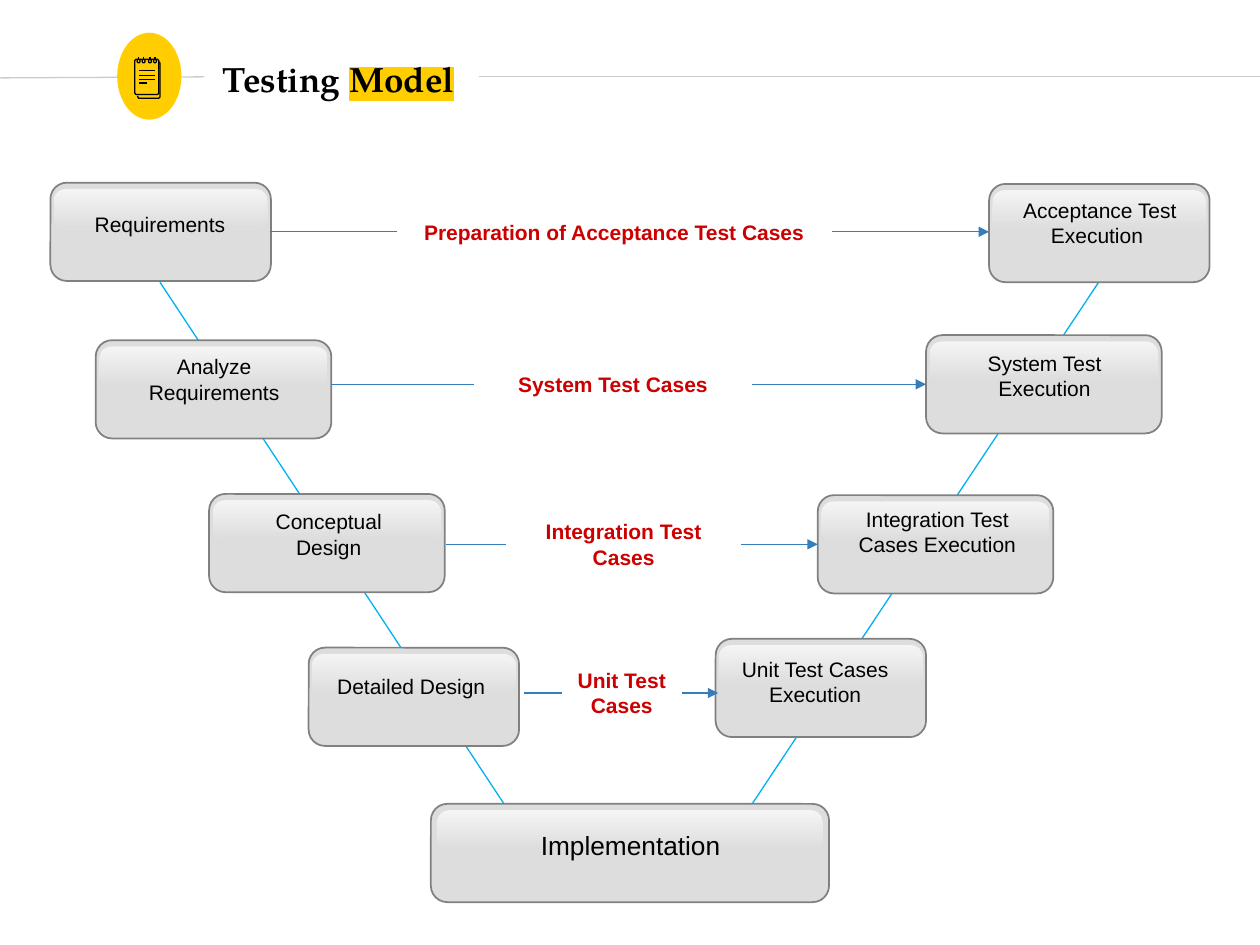
from math import cos, pi, sin

from lxml import etree
from pptx import Presentation
from pptx import util as u
from pptx.dml.color import RGBColor
from pptx.enum import shapes, text
from pptx.oxml import ns

BLACK = RGBColor(0x00, 0x00, 0x00)
WHITE = RGBColor(0xFF, 0xFF, 0xFF)
GOLD = RGBColor(0xFF, 0xCD, 0x00)
RED = RGBColor(0xCC, 0x00, 0x00)
SILVER = RGBColor(0xDD, 0xDD, 0xDD)
RULE = RGBColor(0xCC, 0xCC, 0xCC)
EDGE = RGBColor(0x80, 0x80, 0x80)
CYAN = RGBColor(0x00, 0xB0, 0xF0)
BLUE = RGBColor(0x36, 0x7E, 0xB9)

HIGH = 0.78  # height of every box


def apply(obj, style):
    for key, value in style.items():
        setattr(obj, key, value)


def child(parent, tag, **attrs):
    return etree.SubElement(parent, ns.qn(tag), **attrs)


class Board:
    label = {"name": "Arial", "size": u.Pt(12), "color": BLACK, "bold": False}
    title = {"name": "TeX Gyre Pagella", "size": u.Pt(20), "color": BLACK, "bold": True}

    def __init__(self, slide):
        self.slide = slide
        self.shapes = slide.shapes

    def group(self):
        return self.shapes.add_group_shape().shapes

    def shape(self, kind, x, y, w, h, fill=None, line=None, home=None, adjust=None):
        item = (home or self.shapes).add_shape(kind, *map(u.Inches, (x, y, w, h)))
        item.shadow.inherit = False
        if adjust is not None:
            item.adjustments[0] = adjust
        if fill is not None:
            item.fill.solid()
            item.fill.fore_color.rgb = fill
        self.stroke(item, line, 1)
        return item

    def stroke(self, item, color, width=0.75):
        if color is None:
            item.line.fill.background()
        else:
            item.line.color.rgb = color
            item.line.width = u.Pt(width)

    def box(self, x, y, w):
        """Rounded box with a glossy strip along its top."""
        home, kind = self.group(), shapes.MSO_SHAPE.ROUNDED_RECTANGLE
        self.shape(kind, x, y, w, HIGH, SILVER, EDGE, home, 0.167)
        inset = 0.017 * w
        gloss = self.shape(kind, x + inset, y + 0.05, w - 2 * inset, 0.32,
                           home=home, adjust=0.284)
        gloss.fill.gradient()
        gloss.fill.gradient_angle = 270
        for stop, color, place in zip(gloss.fill.gradient_stops, (WHITE, SILVER), (0, 1)):
            stop.color.rgb = color
            stop.position = place
        for color in gloss._element.xpath(".//a:gs/a:srgbClr"):
            child(color, "a:alpha", val="70000")

    def line(self, x1, y1, x2, y2, color, arrow=False):
        item = self.shapes.add_connector(
            shapes.MSO_CONNECTOR.STRAIGHT, *map(u.Inches, (x1, y1, x2, y2)))
        self.stroke(item, color)
        if arrow:
            child(item.line._get_or_add_ln(), "a:tailEnd", type="triangle")
        child(item._element.spPr, "a:effectLst")

    def trace(self, home, points, close=False):
        spots = [(u.Inches(x), u.Inches(y)) for x, y in points]
        path = home.build_freeform(*spots[0])
        path.add_line_segments(spots[1:], close=close)
        item = path.convert_to_shape()
        item.shadow.inherit = False
        item.fill.background()
        self.stroke(item, BLACK)

    def frame(self, x, y, w, h, **style):
        frame = self.shapes.add_textbox(*map(u.Inches, (x, y, w, h))).text_frame
        apply(frame, {"word_wrap": True, **style})
        return frame

    def run(self, para, words, style):
        run = para.add_run()
        run.text = words
        style = dict(style)
        run.font.color.rgb = style.pop("color")
        apply(run.font, style)
        return run

    def text(self, x, y, w, h, words, **style):
        frame = self.frame(x, y, w, h, auto_size=text.MSO_AUTO_SIZE.SHAPE_TO_FIT_TEXT)
        para = frame.paragraphs[0]
        para.alignment = text.PP_ALIGN.CENTER
        self.run(para, words, {**self.label, **style})

    def head(self, x, y, w, h, plain, marked):
        pad = u.Inches(0.1)
        frame = self.frame(x, y, w, h, margin_top=pad, margin_bottom=pad,
                           vertical_anchor=text.MSO_ANCHOR.MIDDLE)
        para = frame.paragraphs[0]
        self.run(para, plain, self.title)
        run = self.run(para, marked, self.title)
        mark = etree.Element(ns.qn("a:highlight"))
        child(mark, "a:srgbClr", val=str(GOLD))
        run._r.rPr.find(ns.qn("a:latin")).addprevious(mark)

    def notepad(self):
        home = self.group()
        # Back sheet, then front sheet with cut corners
        self.trace(home, [(1.09, 0.76), (1.1, 0.78), (1.26, 0.78), (1.27, 0.77),
                          (1.27, 0.5), (1.26, 0.49)])
        left, top, right, low, cut = 1.07, 0.47, 1.26, 0.75, 0.01
        self.trace(home, [(left + cut, top), (right - cut, top), (right, top + cut),
                          (right, low - cut), (right - cut, low), (left + cut, low),
                          (left, low - cut), (left, top + cut)], True)
        # Written lines
        for y, end in ((0.56, 1.23), (0.6, 1.23), (0.63, 1.23), (0.66, 1.17)):
            self.trace(home, [(end, y), (1.1, y)])
        # Rings and pins
        for x in (1.1, 1.14, 1.19, 1.23):
            turns = [i * pi / 6 for i in range(12)]
            self.trace(home, [(x + 0.012 * cos(a), 0.485 + 0.014 * sin(a))
                              for a in turns], True)
            self.trace(home, [(x, 0.45), (x, 0.48)])


def main():
    deck = Presentation()
    deck.slide_width, deck.slide_height = u.Inches(10), u.Inches(7.5)
    board = Board(deck.slides.add_slide(deck.slide_layouts[6]))

    # Title band
    board.line(3.8, 0.61, 10.31, 0.61, RULE)
    board.line(-0.27, 0.62, 1.62, 0.61, RULE)
    board.shape(shapes.MSO_SHAPE.OVAL, 0.93, 0.26, 0.51, 0.69, GOLD)
    board.head(1.67, 0.3, 2.75, 0.64, "Testing ", "Model")
    board.notepad()

    # Sides of the V
    board.line(8.72, 2.24, 5.97, 6.38, CYAN)
    board.line(1.27, 2.24, 4, 6.38, CYAN)

    # Stages: box left, top, width; label left, top, width, height
    stages = [
        ("Requirements", (0.4, 1.45, 1.75), (0.47, 1.63, 1.6, 0.3)),
        ("Analyze Requirements", (0.76, 2.7, 1.87), (0.9, 2.76, 1.6, 0.5)),
        ("Conceptual Design", (1.66, 3.92, 1.87), (1.81, 3.99, 1.6, 0.5)),
        ("Detailed Design", (2.45, 5.14, 1.67), (2.46, 5.3, 1.61, 0.3)),
        ("Acceptance Test Execution ", (7.85, 1.46, 1.75), (7.93, 1.52, 1.6, 0.5)),
        ("System Test Execution", (7.35, 2.66, 1.87), (7.49, 2.73, 1.6, 0.5)),
        ("Integration Test Cases Execution", (6.49, 3.93, 1.87), (6.64, 3.97, 1.6, 0.5)),
        ("Unit Test Cases Execution", (5.68, 5.07, 1.67), (5.65, 5.16, 1.64, 0.5)),
    ]
    for words, box, label in stages:
        board.box(*box)
        board.text(*label, words)
    board.box(3.42, 6.38, 3.16)
    board.text(4.08, 6.53, 1.85, 0.35, "Implementation", size=u.Pt(15))

    # Test cases: label place, then line start, arrow end and height
    cases = [
        ("Preparation of Acceptance Test Cases", (3.15, 1.69, 3.45, 0.3), 2.14, 7.85, 1.84),
        ("System Test Cases", (3.76, 2.9, 2.21, 0.3), 2.63, 7.35, 3.05),
        ("Integration Test Cases", (4.02, 4.07, 1.86, 0.5), 3.54, 6.49, 4.32),
        ("Unit Test Cases", (4.46, 5.25, 0.95, 0.5), 4.16, 5.7, 5.5),
    ]
    for words, place, start, end, y in cases:
        board.text(*place, words, color=RED, bold=True)
        left, width = place[0], place[2]
        board.line(start, y, min(left, 3.9) if y == 3.05 else left, y, BLUE)
        board.line(left + width, y, end, y, BLUE, arrow=True)

    deck.save("out.pptx")


if __name__ == "__main__":
    main()
